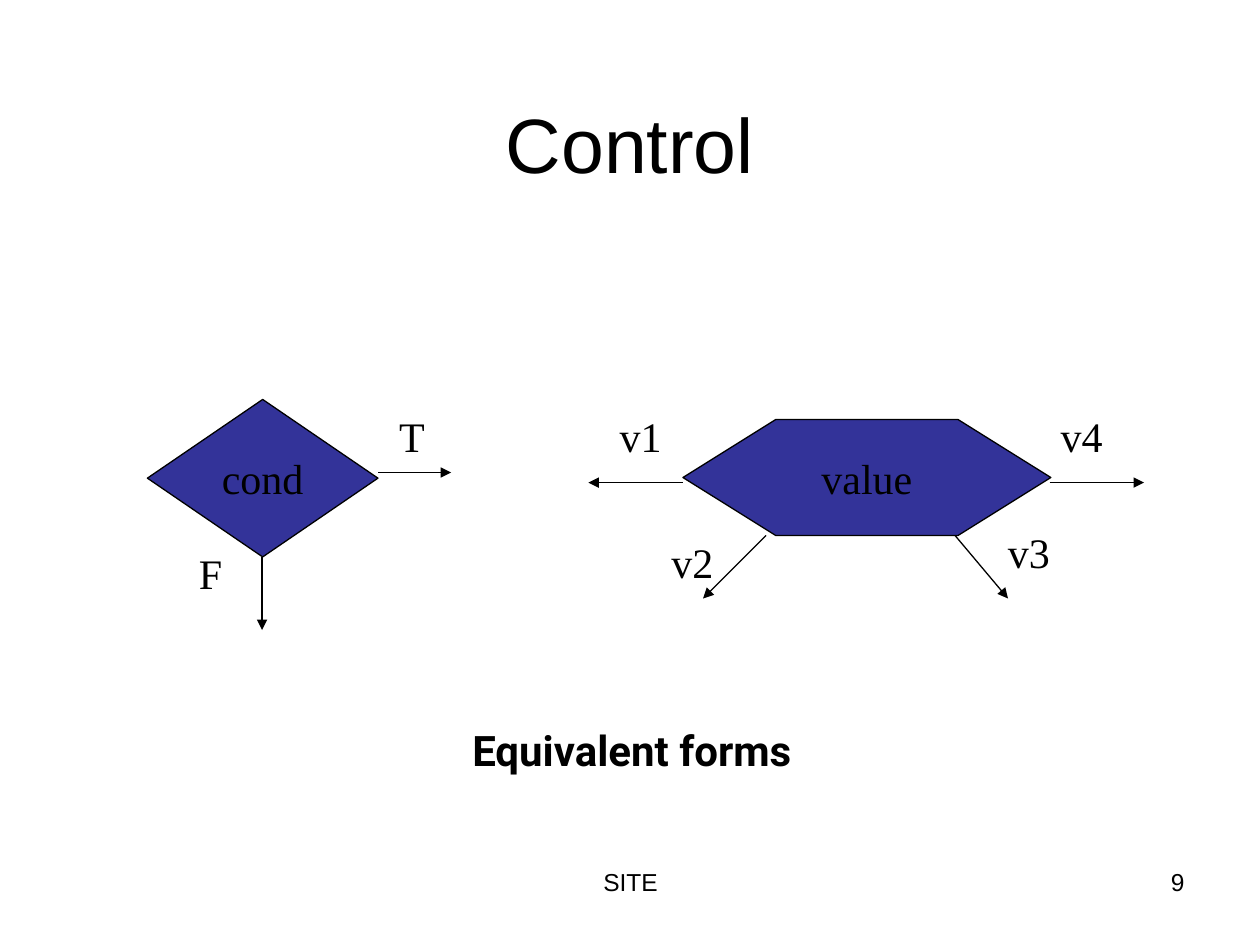
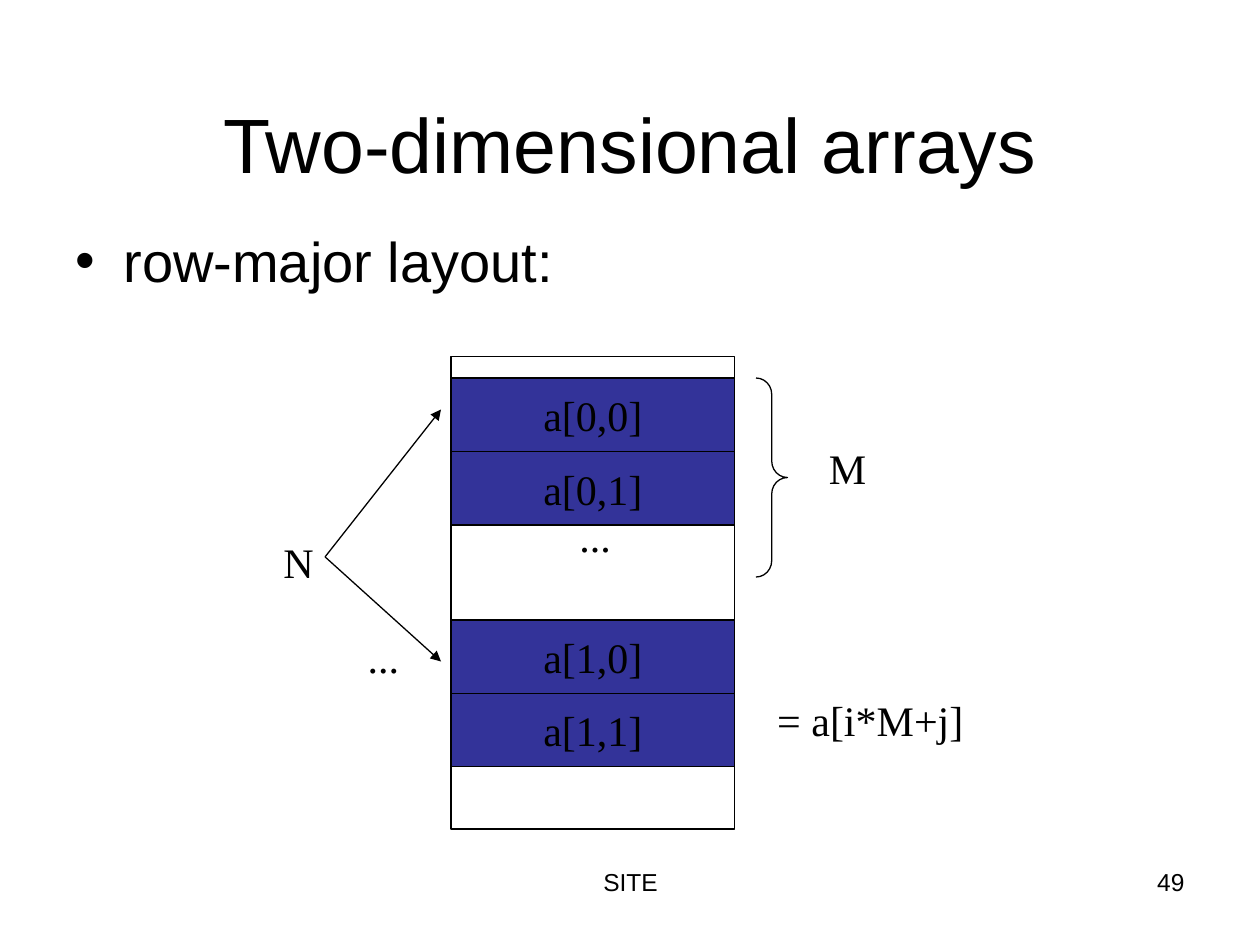
from dataclasses import dataclass

from lxml import etree
from pptx import Presentation
from pptx.dml.color import RGBColor
from pptx.enum import shapes, text
from pptx.oxml import ns
from pptx.util import Inches, Pt

BLACK = RGBColor(0x00, 0x00, 0x00)
WHITE = RGBColor(0xFF, 0xFF, 0xFF)
INDIGO = RGBColor(0x33, 0x33, 0x99)
SANS = "Arial"
SERIF = "Times New Roman"
HEADING = "Roboto"
LINE_WIDTH = Pt(0.75)
LABEL_HEIGHT = 0.5
CELL_LEFT, CELL_WIDTH, CELL_HEIGHT = 3.58, 2.25, 0.583


@dataclass(frozen=True)
class Node:
    kind: shapes.MSO_SHAPE
    left: float
    top: float
    width: float
    height: float
    caption: str = ""
    fill: RGBColor | None = INDIGO
    adjustment: float | None = None


@dataclass(frozen=True)
class Label:
    caption: str
    left: float
    top: float
    width: float
    font: str = SERIF
    bold: bool = False


@dataclass(frozen=True)
class Arrow:
    start: tuple[float, float]
    end: tuple[float, float]


def write_text(frame, caption: str, *, size: float = 24, font: str = SERIF,
               bold: bool = False, align=text.PP_ALIGN.LEFT,
               anchor=text.MSO_ANCHOR.TOP, wrap: bool = False,
               auto_size=text.MSO_AUTO_SIZE.NONE, bullet: str = "") -> None:
    frame.auto_size = auto_size
    frame.word_wrap = wrap
    frame.vertical_anchor = anchor
    frame.margin_left = frame.margin_right = Inches(0.1)
    frame.margin_top = frame.margin_bottom = Inches(0.05)
    paragraph = frame.paragraphs[0]
    paragraph.text = caption
    paragraph.alignment = align
    paragraph.space_before = Pt(0)
    if bullet:
        properties = paragraph._p.get_or_add_pPr()
        properties.set("marL", str(Inches(0.38)))
        properties.set("indent", str(Inches(-0.38)))
        etree.SubElement(properties, ns.qn("a:buFont"), typeface=SANS)
        etree.SubElement(properties, ns.qn("a:buChar"), char=bullet)
    run_font = paragraph.runs[0].font
    run_font.size = Pt(size)
    run_font.name = font
    run_font.bold = bold
    run_font.color.rgb = BLACK


def place(shape, left: float, top: float, width: float, height: float) -> None:
    shape.left, shape.top = Inches(left), Inches(top)
    shape.width, shape.height = Inches(width), Inches(height)


def add_text(slide, caption: str, left: float, top: float, width: float,
             height: float, **text_format) -> None:
    box = slide.shapes.add_textbox(
        Inches(left), Inches(top), Inches(width), Inches(height))
    write_text(box.text_frame, caption, **text_format)


def add_label(slide, label: Label) -> None:
    add_text(slide, label.caption, label.left, label.top, label.width, LABEL_HEIGHT,
             font=label.font, bold=label.bold,
             auto_size=text.MSO_AUTO_SIZE.SHAPE_TO_FIT_TEXT)


def add_node(slide, node: Node) -> None:
    shape = slide.shapes.add_shape(
        node.kind, Inches(node.left), Inches(node.top),
        Inches(node.width), Inches(node.height))
    shape.shadow.inherit = False
    if node.fill is None:
        shape.fill.background()
    else:
        shape.fill.solid()
        shape.fill.fore_color.rgb = node.fill
    shape.line.color.rgb = BLACK
    shape.line.width = LINE_WIDTH
    if node.adjustment is not None:
        shape.adjustments[0] = node.adjustment
    if node.caption:
        write_text(shape.text_frame, node.caption, align=text.PP_ALIGN.CENTER,
                   anchor=text.MSO_ANCHOR.MIDDLE)


def add_arrow(slide, arrow: Arrow) -> None:
    connector = slide.shapes.add_connector(
        shapes.MSO_CONNECTOR.STRAIGHT,
        *(Inches(value) for value in arrow.start + arrow.end))
    connector.line.color.rgb = BLACK
    connector.line.width = LINE_WIDTH
    etree.SubElement(connector.line._get_or_add_ln(), ns.qn("a:tailEnd"), type="triangle")
    etree.SubElement(connector._element.spPr, ns.qn("a:effectLst"))


def add_slide(presentation, layout_index: int, title: str, number: int):
    slide = presentation.slides.add_slide(presentation.slide_layouts[layout_index])
    slide.background.fill.solid()
    slide.background.fill.fore_color.rgb = WHITE
    place(slide.shapes.title, 0.5, 0.3, 9, 1.25)
    write_text(slide.shapes.title.text_frame, title, size=44, font=SANS, wrap=True,
               align=text.PP_ALIGN.CENTER, anchor=text.MSO_ANCHOR.BOTTOM)
    add_text(slide, "SITE", 3.42, 6.83, 3.17, 0.52, size=14, font=SANS,
             wrap=True, align=text.PP_ALIGN.CENTER)
    add_text(slide, str(number), 7.17, 6.83, 2.33, 0.52, size=14, font=SANS,
             wrap=True, align=text.PP_ALIGN.RIGHT)
    return slide


def draw_all(slide, nodes: list[Node], arrows: list[Arrow], labels: list[Label]) -> None:
    for node in nodes:
        add_node(slide, node)
    for arrow in arrows:
        add_arrow(slide, arrow)
    for label in labels:
        add_label(slide, label)


def build_control(presentation) -> None:
    slide = add_slide(presentation, 5, "Control", 9)
    nodes = [
        Node(shapes.MSO_SHAPE.DIAMOND, 1.17, 3.17, 1.83, 1.25, "cond"),
        Node(shapes.MSO_SHAPE.HEXAGON, 5.42, 3.33, 2.92, 0.92, "value", adjustment=0.8),
    ]
    arrows = [
        Arrow((3, 3.75), (3.58, 3.75)),
        Arrow((2.08, 4.42), (2.08, 5)),
        Arrow((8.33, 3.83), (9.08, 3.83)),
        Arrow((5.42, 3.83), (4.67, 3.83)),
        Arrow((6.08, 4.25), (5.58, 4.75)),
        Arrow((7.58, 4.25), (8, 4.75)),
    ]
    labels = [
        Label("T", 3.07, 3.21, 0.4),
        Label("F", 1.48, 4.3, 0.38),
        Label("Equivalent forms", 3.65, 5.7, 3.04, HEADING, True),
        Label("v1", 4.82, 3.21, 0.53),
        Label("v2", 5.23, 4.21, 0.53),
        Label("v3", 7.9, 4.13, 0.53),
        Label("v4", 8.32, 3.21, 0.53),
    ]
    draw_all(slide, nodes, arrows, labels)


def build_arrays(presentation) -> None:
    slide = add_slide(presentation, 1, "Two-dimensional arrays", 49)
    body = slide.placeholders[1]
    place(body, 0.5, 1.75, 9, 0.93)
    write_text(body.text_frame, "row-major layout:", size=32, font=SANS,
               wrap=True, bullet="•")
    cells = [
        Node(shapes.MSO_SHAPE.RECTANGLE, CELL_LEFT, row_top + column * CELL_HEIGHT,
             CELL_WIDTH, CELL_HEIGHT, f"a[{row},{column}]")
        for row, row_top in enumerate((3, 4.92))
        for column in range(2)
    ]
    memory = Node(shapes.MSO_SHAPE.RECTANGLE, CELL_LEFT, 2.83, CELL_WIDTH, 3.75, fill=None)
    row_brace = Node(shapes.MSO_SHAPE.RIGHT_BRACE, 6, 3, 0.25, 1.58, fill=None,
                     adjustment=0.52)
    row_fork = (2.58, 4.42)
    arrows = [Arrow(row_fork, (3.5, row_middle)) for row_middle in (3.25, 5.25)]
    labels = [
        Label("= a[i*M+j]", 6.07, 5.46, 1.68),
        Label("...", 4.5, 4, 0.45),
        Label("M", 6.48, 3.46, 0.49),
        Label("...", 2.82, 4.96, 0.45),
        Label("N", 2.15, 4.21, 0.44),
    ]
    draw_all(slide, [*cells, memory, row_brace], arrows, labels)


def main() -> None:
    presentation = Presentation()
    presentation.slide_width = Inches(10)
    presentation.slide_height = Inches(7.5)
    build_control(presentation)
    build_arrays(presentation)
    presentation.save("out.pptx")


if __name__ == "__main__":
    main()
